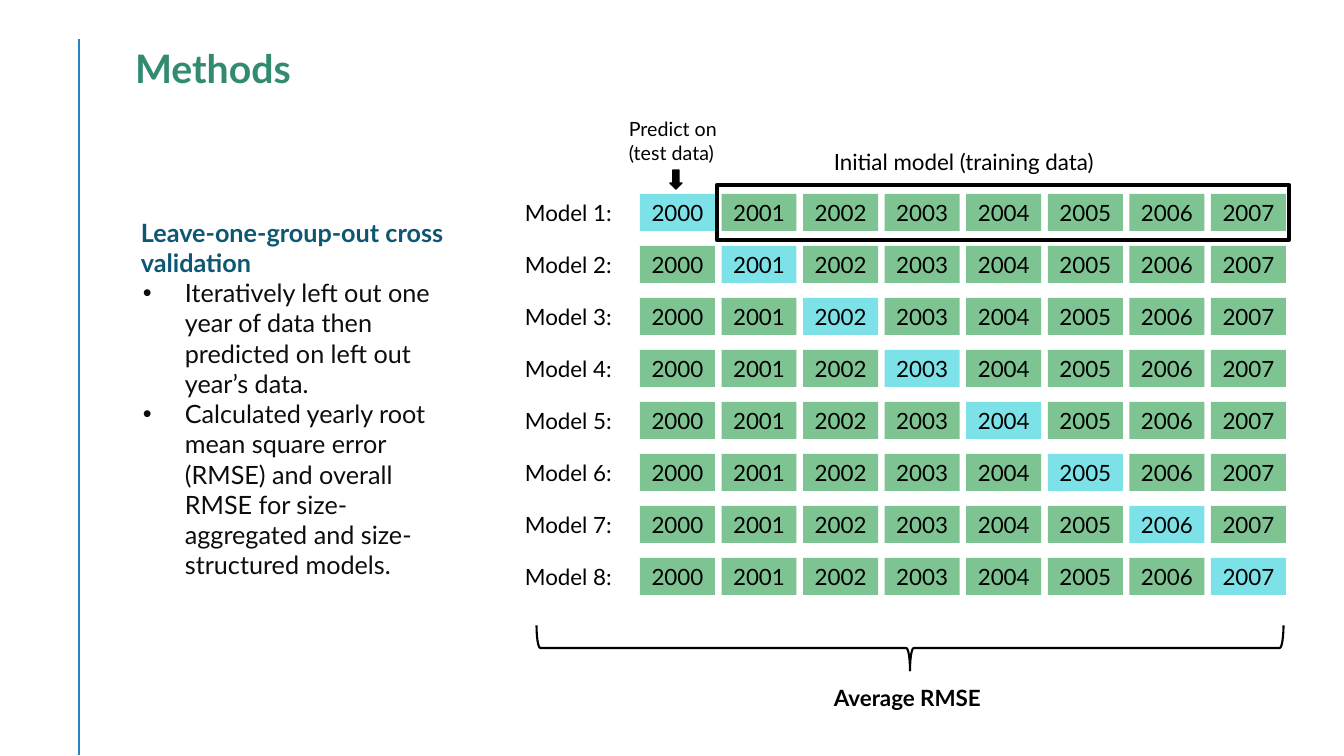
from dataclasses import dataclass

from lxml import etree
from pptx import Presentation
from pptx.dml.color import RGBColor
from pptx.enum.shapes import MSO_CONNECTOR, MSO_SHAPE
from pptx.enum.text import MSO_ANCHOR, MSO_AUTO_SIZE, PP_ALIGN
from pptx.oxml.ns import qn
from pptx.util import Pt

RECT, ARROW, BRACE = MSO_SHAPE.RECTANGLE, MSO_SHAPE.DOWN_ARROW, MSO_SHAPE.RIGHT_BRACE
LINE = MSO_CONNECTOR.STRAIGHT
LEFT, CENTER = PP_ALIGN.LEFT, PP_ALIGN.CENTER
TOP, MIDDLE = MSO_ANCHOR.TOP, MSO_ANCHOR.MIDDLE
FIXED = MSO_AUTO_SIZE.NONE
SCALE = 914400 / 100.8  # EMU in one px


@dataclass(frozen=True)
class Theme:
    font: str = "Lato"
    title: str = "328B71"
    head: str = "0E5772"
    body: str = "0D0D0D"
    ink: str = "000000"
    rule: str = "2683C6"
    train: str = "7EC492"
    test: str = "7DE2E7"
    big: int = 28
    text: int = 18
    label: int = 16
    small: int = 14


THEME = Theme()
YEARS = range(2000, 2008)
POINTS = (
    "Iteratively left out one year of data then predicted on left out year’s data.",
    "Calculated yearly root mean square error (RMSE) and overall RMSE for "
    "size-aggregated and size-structured models.",
)


def px(*sizes):
    return [round(size * SCALE) for size in sizes]


def tint(text):
    return RGBColor.from_string(text)


def write(frame, text, size=THEME.label, color=THEME.ink, bold=False,
          align=LEFT, anchor=TOP, wrap=True, more=False, bullet=False):
    """Put one paragraph in a frame, after the others if more is set."""
    frame.auto_size, frame.word_wrap = FIXED, wrap
    frame.vertical_anchor = anchor
    para = frame.add_paragraph() if more else frame.paragraphs[0]
    para.alignment = align
    run = para.add_run()
    run.text = text
    font = run.font
    font.name, font.size, font.bold = THEME.font, Pt(size), bold
    font.color.rgb = tint(color)
    if bullet:
        props = para._p.get_or_add_pPr()
        inset, hang = px(44, -42)
        props.set("marL", str(inset))
        props.set("indent", str(hang))
        etree.SubElement(props, qn("a:buFont")).set("typeface", "Arial")
        etree.SubElement(props, qn("a:buChar")).set("char", "•")


def note(slide, box, text, **style):
    frame = slide.shapes.add_textbox(*px(*box)).text_frame
    write(frame, text, **style)
    return frame


def draw(slide, kind, box, fill=None, width=0):
    shape = slide.shapes.add_shape(kind, *px(*box))
    shape.shadow.inherit = False
    if fill:
        shape.fill.solid()
        shape.fill.fore_color.rgb = tint(fill)
    else:
        shape.fill.background()
    if width:
        shape.line.color.rgb = tint(THEME.ink)
        shape.line.width = Pt(width)
    else:
        shape.line.fill.background()
    return shape


def header(slide, box):
    """Side rule and title."""
    x, y, w, h = box
    rule = slide.shapes.add_connector(LINE, *px(x, y, x, y + h))
    rule.line.color.rgb = tint(THEME.rule)
    rule.line.width = Pt(2)
    etree.SubElement(rule._element.spPr, qn("a:effectLst"))
    title = slide.shapes.title
    title.left, title.top, title.width, title.height = px(x + 46, y, w - 46, 57)
    write(title.text_frame, "Methods", size=THEME.big, color=THEME.title, bold=True)


def method(slide, box):
    """Heading with bullet points."""
    frame = note(slide, box, "Leave-one-group-out cross validation",
                 size=THEME.text, color=THEME.head, bold=True)
    for point in POINTS:
        write(frame, point, size=THEME.text, color=THEME.body, more=True, bullet=True)


def models(slide, box):
    """One row per model, with its left-out year marked."""
    x, y, w, h = box
    cell_w, cell_h = 75, 37
    first = x + 125
    step_x = (w - 125 - cell_w) / (len(YEARS) - 1)
    step_y = (h - cell_h) / (len(YEARS) - 1)
    for row, left_out in enumerate(YEARS):
        top = y + row * step_y
        note(slide, (x, top, 109, cell_h), f"Model {row + 1}:", wrap=False)
        for col, year in enumerate(YEARS):
            fill = THEME.test if year == left_out else THEME.train
            cell = draw(slide, RECT, (first + col * step_x, top, cell_w, cell_h), fill)
            write(cell.text_frame, str(year), align=CENTER, anchor=MIDDLE, wrap=False)


def labels(slide, box):
    """Captions, training frame and brace around the grid."""
    x, y, w, h = box
    note(slide, (x + 104, y - 82, 130, 57), "Predict on (test data)", size=THEME.small)
    draw(slide, ARROW, (x + 155, y - 24, 12, 19), THEME.ink, 1)
    note(slide, (x + 309, y - 51, 285, 37), "Initial model (training data)", wrap=False)
    draw(slide, RECT, (x + 202, y - 9, w - 199, 55), width=3)
    # The brace is turned about its centre
    long, deep = 747, 45
    mid_x, mid_y = x + 395, y + h + 53
    brace = draw(slide, BRACE, (mid_x - deep / 2, mid_y - long / 2, deep, long), width=1.5)
    brace.rotation = 90
    note(slide, (x + 309, y + h + 84, 171, 37), "Average RMSE", bold=True, wrap=False)


def main():
    deck = Presentation()
    deck.slide_width, deck.slide_height = px(1344, 756)
    slide = deck.slides.add_slide(deck.slide_layouts.get_by_name("Title Only"))
    header(slide, (79, 39, 231, 716))
    method(slide, (131, 212, 344, 377))
    grid = (515, 194, 771, 401)
    models(slide, grid)
    labels(slide, grid)
    deck.save("out.pptx")


if __name__ == "__main__":
    main()
